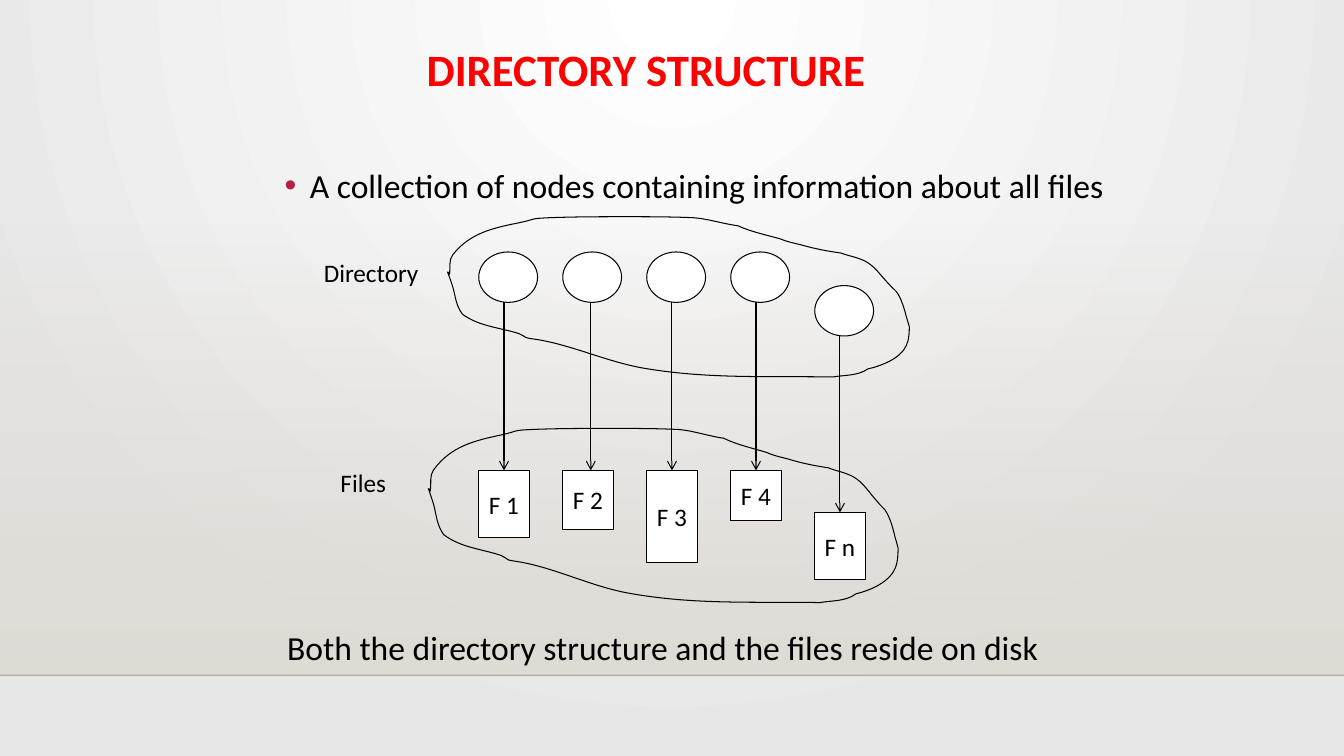
from dataclasses import dataclass
from lxml import etree
from pptx import Presentation
from pptx.dml.color import RGBColor
from pptx.enum.shapes import MSO_CONNECTOR, MSO_SHAPE
from pptx.enum.text import MSO_ANCHOR, PP_ALIGN
from pptx.oxml.ns import qn
from pptx.util import Pt

LINE = MSO_CONNECTOR.STRAIGHT
RECT, OVAL = MSO_SHAPE.RECTANGLE, MSO_SHAPE.OVAL
TOP, MIDDLE = MSO_ANCHOR.TOP, MSO_ANCHOR.MIDDLE
LEFT, CENTER = PP_ALIGN.LEFT, PP_ALIGN.CENTER


@dataclass(frozen=True)
class Theme:
    """Colours, font and sizes of the slide."""
    font: str = "Calibri"
    ink: str = "000000"
    title: str = "FF0000"
    bullet: str = "B71E42"
    paper: str = "FFFFFF"
    edge: str = "E7E7E7"
    floor: str = "DFDBD5"
    rule: str = "000001"
    head: int = 32
    body: int = 24
    label: int = 18
    thin: float = 0.75


THEME = Theme()
WIDE, HIGH = 960, 540
FILES = [("F 1", 48, 0, 0, 0), ("F 2", 42, 0, 0, 2), ("F 3", 66, 0, 0, 0),
         ("F 4", 36, 0, 0, 0), ("F n", 48, 24, 30, 0)]
BLOB_W, BLOB_H = 458, 161
BLOB = [
    (2, 57),
    (3, 50), (1, 43), (5, 38), (22, 16), (46, 11), (71, 6),
    (90, 2), (80, 2), (101, 1), (127, 0), (152, 0), (177, 0),
    (199, 0), (221, 0), (244, 1), (258, 2), (273, 7), (288, 9),
    (301, 15), (316, 18), (330, 22), (337, 25), (343, 26), (351, 28),
    (365, 32), (376, 34), (390, 36), (398, 39), (406, 40), (414, 44),
    (424, 49), (430, 59), (438, 67), (441, 71), (445, 73), (447, 77),
    (451, 84), (453, 91), (455, 99), (456, 102), (458, 109), (458, 109),
    (458, 113), (458, 122), (455, 128), (449, 141), (430, 148), (417, 151),
    (407, 158), (394, 157), (382, 159), (318, 158), (261, 161), (199, 151),
    (159, 145), (122, 126), (83, 121), (81, 121), (79, 120), (78, 120),
    (76, 119), (74, 117), (71, 116), (52, 110), (32, 109), (15, 97),
    (8, 88), (8, 79), (5, 69), (5, 69), (1, 57), (0, 55),
    (0, 54), (1, 56), (2, 57),
]


def rgb(code):
    """Turn a hex code into a colour."""
    return RGBColor.from_string(code)


def pts(box):
    """Turn a box of numbers into lengths."""
    return [Pt(n) for n in box]


def fade(node, share):
    """Give the colour in a fill node an opacity in percent."""
    tone = next(node.iter(qn("a:srgbClr")))
    etree.SubElement(tone, qn("a:alpha"), val=str(share * 1000))


def blend(fill, first, last):
    """Set a two-colour gradient."""
    fill.gradient()
    for stop, code in zip(fill.gradient_stops, (first, last)):
        stop.color.rgb = rgb(code)
    fill.gradient_stops[0].position = 0
    fill.gradient_stops[1].position = 1


def write(shape, text, size, color=THEME.ink, align=LEFT, anchor=TOP, wrap=True):
    """Put one run of text in a shape and return its paragraph."""
    frame = shape.text_frame
    frame.word_wrap = wrap
    frame.vertical_anchor = anchor
    para = frame.paragraphs[0]
    para.alignment = align
    run = para.add_run()
    run.text = text
    run.font.name = THEME.font
    run.font.size = Pt(size)
    run.font.color.rgb = rgb(color)
    return para


def node(slide, kind, box):
    """Add a white outlined shape."""
    shape = slide.shapes.add_shape(kind, *pts(box))
    shape.shadow.inherit = False
    shape.fill.solid()
    shape.fill.fore_color.rgb = rgb(THEME.paper)
    shape.line.color.rgb = rgb(THEME.ink)
    shape.line.width = Pt(THEME.thin)
    return shape


def link(slide, ends, color, width):
    """Add a straight line without a shadow."""
    line = slide.shapes.add_connector(LINE, *pts(ends))
    line.line.color.rgb = rgb(color)
    line.line.width = Pt(width)
    etree.SubElement(line._element.spPr, qn("a:effectLst"))
    return line


def blob(slide, box):
    """Draw the closed curved outline scaled to a box."""
    left, top, width, height = box
    spots = [(Pt(left + x * width / BLOB_W), Pt(top + y * height / BLOB_H))
             for x, y in BLOB]
    pen = slide.shapes.build_freeform(*spots[0])
    pen.add_line_segments(spots[1:], close=True)
    shape = pen.convert_to_shape()
    shape.shadow.inherit = False
    shape.fill.background()
    shape.line.color.rgb = rgb(THEME.ink)
    shape.line.width = Pt(THEME.thin)
    track = next(shape._element.iter(qn("a:path")))
    steps = track.findall(qn("a:lnTo"))
    for i in range(0, len(steps), 3):
        curve = etree.Element(qn("a:cubicBezTo"))
        steps[i].addprevious(curve)
        for step in steps[i:i + 3]:
            curve.append(step[0])
            track.remove(step)


def stage(slide, box):
    """Paint the backdrop, the shaded wall and its lower rule."""
    left, top, width, height = box
    back = slide.background.fill
    blend(back, THEME.paper, THEME.edge)
    grad = next(slide._element.iter(qn("a:gradFill")))
    grad.remove(grad.find(qn("a:lin")))
    way = etree.SubElement(grad, qn("a:path"))
    way.set("path", "circle")
    etree.SubElement(way, qn("a:fillToRect"), l="43000", t="0", r="43000", b="100000")
    wall = slide.shapes.add_shape(RECT, *pts(box))
    wall.shadow.inherit = False
    wall.line.fill.background()
    blend(wall.fill, THEME.floor, THEME.floor)
    wall.fill.gradient_angle = 270
    fade(wall._element.spPr.find(qn("a:gradFill")), 0)
    base = top + height
    rule = link(slide, (left, base, left + width, base), THEME.rule, 1)
    fade(rule._element.spPr.find(qn("a:ln")), 20)


def title(slide, box):
    """Add the red heading."""
    shape = slide.shapes.add_textbox(*pts(box))
    para = write(shape, "DIRECTORY STRUCTURE", THEME.head, THEME.title, anchor=MIDDLE)
    para.line_spacing = 0.9
    para.runs[0].font.bold = True


def point(slide, box):
    """Add the bulleted statement."""
    shape = slide.shapes.add_textbox(*pts(box))
    para = write(shape, "A collection of nodes containing information about all files",
                 THEME.body)
    para.line_spacing = 1.2
    props = para._p.get_or_add_pPr()
    props.set("marL", str(Pt(18)))
    props.set("indent", str(-Pt(18)))
    tint = etree.SubElement(props, qn("a:buClr"))
    etree.SubElement(tint, qn("a:srgbClr"), val=THEME.bullet)
    etree.SubElement(props, qn("a:buFont"), typeface="Arial")
    etree.SubElement(props, qn("a:buChar"), char="•")


def chart(slide, box):
    """Draw directory nodes, files and the arrows between them."""
    left, top, width, height = box
    pairs = []
    for i, (name, tall, dip, drop, shift) in enumerate(FILES):
        x = left + i * 60
        oval = (x, top + dip, 42, 36)
        file = (x, top + 156 + drop, 36, tall)
        node(slide, OVAL, oval)
        card = node(slide, RECT, file)
        write(card, name, THEME.label, align=CENTER, anchor=MIDDLE, wrap=False)
        pairs.append((x + 18 + shift, oval[1] + 36, file[1], card, shift))
    for x, start, end, card, shift in pairs:
        arrow = link(slide, (x, start, x, end), THEME.ink, THEME.thin)
        etree.SubElement(arrow._element.spPr.find(qn("a:ln")), qn("a:tailEnd"),
                         type="arrow")
        if not shift:
            arrow.end_connect(card, 0)
    blob(slide, (left - 22.3, top - 25.2, width + 47.8, height - 118.1))
    blob(slide, (left - 36, top + 126, width + 53.5, height - 108))
    for text, x, y, w in (("Directory", -120.4, 0, 87), ("Files", -106, 150, 47)):
        shape = slide.shapes.add_textbox(*pts((left + x, top + y, w, 29)))
        write(shape, text, THEME.label, align=CENTER, anchor=MIDDLE, wrap=False)


def note(slide, box):
    """Add the closing sentence."""
    shape = slide.shapes.add_textbox(*pts(box))
    write(shape, "Both the directory structure and the files reside on disk", THEME.body)


def main():
    """Build and save the slide."""
    deck = Presentation()
    deck.slide_width, deck.slide_height = Pt(WIDE), Pt(HIGH)
    slide = deck.slides.add_slide(deck.slide_layouts[6])
    stage(slide, (0, 159, WIDE, 323.4))
    title(slide, (297.6, 28.8, 489, 45.4))
    point(slide, (196.2, 108.7, 648, 16))
    chart(slide, (342, 180, 282, 234))
    note(slide, (198, 444, 598, 30))
    deck.save("out.pptx")


if __name__ == "__main__":
    main()
